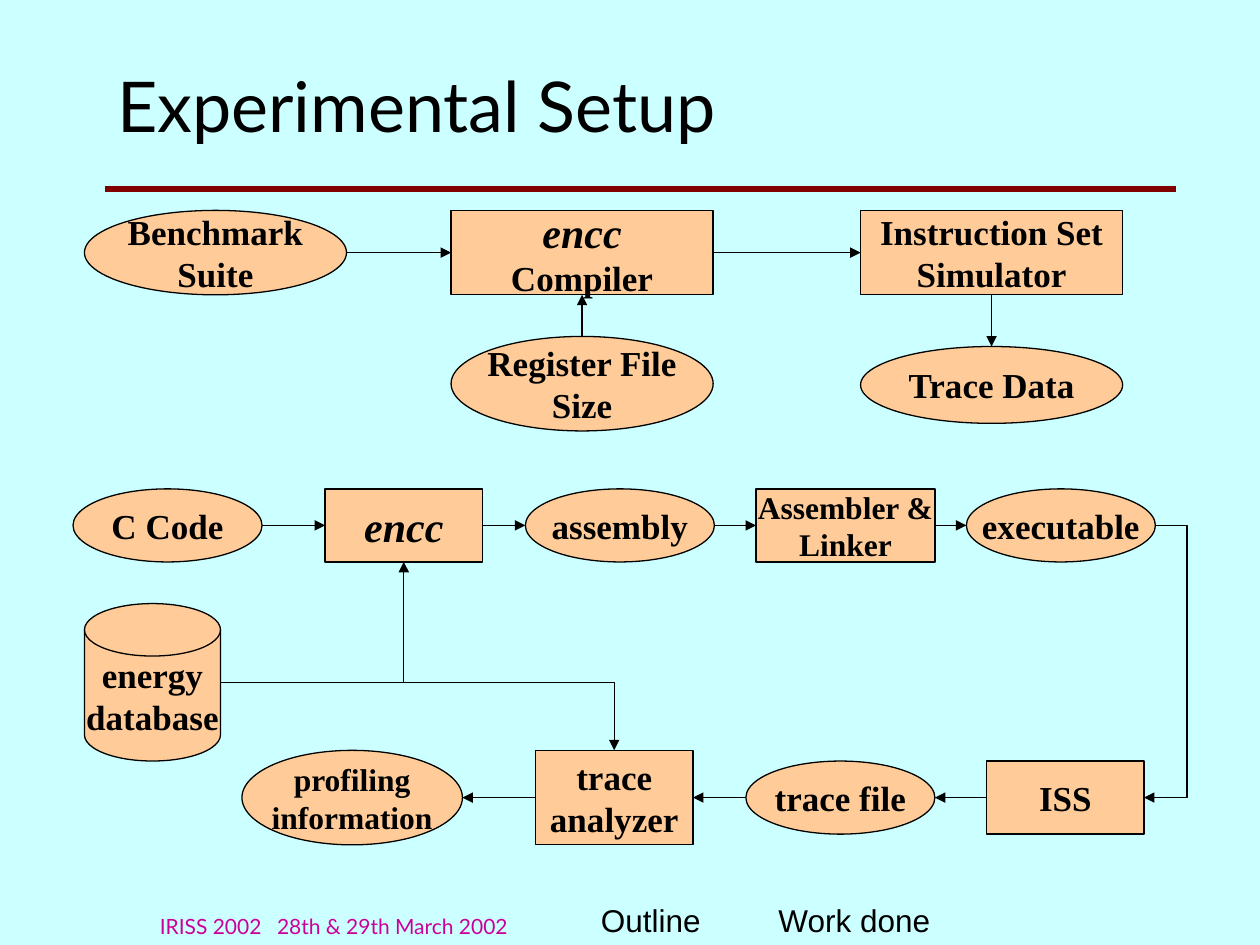
import pptx
import pptx.util
import pptx.dml.color
import pptx.enum.shapes
import pptx.enum.text
import pptx.oxml.ns
import lxml.etree

Inches = pptx.util.Inches
Pt = pptx.util.Pt
RGBColor = pptx.dml.color.RGBColor
Shape = pptx.enum.shapes.MSO_SHAPE
Wire = pptx.enum.shapes.MSO_CONNECTOR
Align = pptx.enum.text.PP_ALIGN
Anchor = pptx.enum.text.MSO_ANCHOR
qn = pptx.oxml.ns.qn

SKY = RGBColor(0xCC, 0xFF, 0xFF)
PEACH = RGBColor(0xFF, 0xCC, 0x99)
MAROON = RGBColor(0x80, 0x00, 0x00)
PINK = RGBColor(0xCC, 0x00, 0x99)
BLACK = RGBColor(0x00, 0x00, 0x00)
SERIF = "Times New Roman"
OVAL, RECT, DISK = Shape.OVAL, Shape.RECTANGLE, Shape.FLOWCHART_MAGNETIC_DISK


def write(shape, text, font="Lato", size=20, color=BLACK, bold=False, slant=None,
          align=Align.LEFT, anchor=Anchor.MIDDLE, wrap=True, tab=None):
    """Write lines of text into a shape; the line equal to slant is larger and italic."""
    frame = shape.text_frame
    frame.word_wrap = wrap
    frame.auto_size = pptx.enum.text.MSO_AUTO_SIZE.NONE
    frame.vertical_anchor = anchor
    frame.text = text
    for para in frame.paragraphs:
        para.alignment = align
        if tab:
            stops = lxml.etree.SubElement(para._p.get_or_add_pPr(), qn("a:tabLst"))
            lxml.etree.SubElement(stops, qn("a:tab"), pos=str(tab), algn="l")
        for run in para.runs:
            leans = run.text == slant
            run.font.name = font
            run.font.size = Pt(24 if leans else size)
            run.font.bold = bold
            run.font.italic = leans
            run.font.color.rgb = color


def node(slide, kind, text, left, top, width, height, size=20):
    """Draw one labelled step of a flow."""
    shape = slide.shapes.add_shape(kind, left, top, width, height)
    shape.shadow.inherit = False
    shape.fill.solid()
    shape.fill.fore_color.rgb = PEACH
    shape.line.color.rgb = BLACK
    shape.line.width = Pt(0.75)
    write(shape, text, font=SERIF, size=size, bold=True, slant="encc",
          align=Align.CENTER, wrap=False)
    return shape


def port(shape, side):
    """Return the middle point of one side of a shape."""
    across, down = {"left": (0, 1), "right": (2, 1), "top": (1, 0), "base": (1, 2)}[side]
    return shape.left + shape.width * across // 2, shape.top + shape.height * down // 2


def wire(slide, start, end, kind=Wire.STRAIGHT, color=BLACK, width=0.75, head=True):
    """Draw a line between two points, with an arrowhead if wanted."""
    line = slide.shapes.add_connector(kind, *start, *end)
    line.line.color.rgb = color
    line.line.width = Pt(width)
    if head:
        lxml.etree.SubElement(line.line._get_or_add_ln(), qn("a:tailEnd"), type="triangle")
    lxml.etree.SubElement(line._element.spPr, qn("a:effectLst"))
    return line


def chain(slide, steps):
    """Join each step to the next along a row, in either direction."""
    for one, two in zip(steps, steps[1:]):
        ahead = one.left < two.left
        wire(slide, port(one, "right" if ahead else "left"),
             port(two, "left" if ahead else "right"))


def drop(slide, one, two):
    """Join two steps in a column, from the first to the second."""
    below = one.top < two.top
    wire(slide, port(one, "base" if below else "top"), port(two, "top" if below else "base"))


def corner(slide, start, end):
    """Draw an arrow that runs across and then turns once."""
    line = wire(slide, start, end, kind=Wire.ELBOW)
    line._element.spPr.find(qn("a:prstGeom")).set("prst", "bentConnector2")


def detour(slide, start, end, reach):
    """Draw an arrow that runs out to reach and then comes back."""
    line = wire(slide, start, end, kind=Wire.ELBOW)
    geom = line._element.spPr.find(qn("a:prstGeom"))
    share = round((reach - start[0]) / (end[0] - start[0]) * 100000)
    lxml.etree.SubElement(geom.get_or_add_avLst(), qn("a:gd"), name="adj1", fmla=f"val {share}")


def head(slide, left, top, width, height):
    """Place the title and the rule under it."""
    title = slide.shapes.title
    title.left, title.top, title.width, title.height = left, top, width - Inches(0.75), Inches(1)
    write(title, "Experimental Setup", size=40)
    base = top + height
    wire(slide, (left, base), (left + width, base), color=MAROON, width=3, head=False)


def setup(slide, left, top, width, height):
    """Draw the overview of the tools and their data."""
    wide, tall = Inches(2.08), Inches(0.67)
    mid, last = left + Inches(2.91), left + width - wide
    suite = node(slide, OVAL, "Benchmark\nSuite", left, top, wide, tall)
    tool = node(slide, RECT, "encc\nCompiler", mid, top, wide, tall)
    sim = node(slide, RECT, "Instruction Set\nSimulator", last, top, wide, tall)
    size = node(slide, OVAL, "Register File\nSize", mid, top + height - Inches(0.75),
                wide, Inches(0.75))
    data = node(slide, OVAL, "Trace Data", last, top + Inches(1.08), wide, Inches(0.61))
    chain(slide, [suite, tool, sim])
    drop(slide, size, tool)
    drop(slide, sim, data)


def row(slide, left, mid, parts):
    """Draw and chain steps centred on one level; return them."""
    steps = [node(slide, kind, text, left + Inches(off), mid - Inches(tall) // 2,
                  Inches(wide), Inches(tall), size=size)
             for kind, text, off, wide, tall, size in parts]
    chain(slide, steps)
    return steps


def flow(slide, left, top, width, height):
    """Draw the path from source code to profiling information."""
    build = row(slide, left, top + Inches(0.29), [
        (OVAL, "C Code", 0, 1.5, 0.58, 20),
        (RECT, "encc", 2, 1.25, 0.58, 20),
        (OVAL, "assembly", 3.59, 1.5, 0.58, 20),
        (RECT, "Assembler &\nLinker", 5.42, 1.42, 0.58, 18),
        (OVAL, "executable", 7.09, 1.5, 0.58, 20),
    ])
    trace = row(slide, left, top + height - Inches(0.38), [
        (RECT, "ISS", 7.25, 1.25, 0.58, 20),
        (OVAL, "trace file", 5.34, 1.5, 0.58, 20),
        (RECT, "trace\nanalyzer", 3.67, 1.25, 0.75, 20),
        (OVAL, "profiling\ninformation", 1.34, 1.75, 0.75, 18),
    ])
    store = node(slide, DISK, "energy\ndatabase", left + Inches(0.09), top + Inches(0.91),
                 Inches(1.08), Inches(1.25))
    corner(slide, port(store, "right"), port(build[1], "base"))
    corner(slide, port(store, "right"), port(trace[2], "top"))
    detour(slide, port(build[-1], "right"), port(trace[0], "right"), left + width)


def foot(slide, left, top, width, height):
    """Place the event line and the two section labels."""
    base = top + height
    for text, off, wide, tall, style in [
        ("IRISS 2002\t28th & 29th March 2002", 0, 3.75, 0.33,
         dict(size=12, color=PINK, tab=Inches(0.93))),
        ("Outline", 3.5, 1.08, 0.4, dict(font="Arial", size=18)),
        ("Work done", 4.91, 1.58, 0.4, dict(font="Arial", size=18)),
    ]:
        box = slide.shapes.add_textbox(left + Inches(off), base - Inches(tall),
                                       Inches(wide), Inches(tall))
        write(box, text, anchor=Anchor.BOTTOM, **style)


def main():
    """Build the slide and save it."""
    deck = pptx.Presentation()
    deck.slide_width, deck.slide_height = Inches(10), Inches(7.5)
    slide = deck.slides.add_slide(deck.slide_layouts[5])
    slide.background.fill.solid()
    slide.background.fill.fore_color.rgb = SKY
    head(slide, Inches(0.83), Inches(0.33), Inches(8.5), Inches(1.17))
    setup(slide, Inches(0.67), Inches(1.67), Inches(8.24), Inches(1.75))
    flow(slide, Inches(0.58), Inches(3.88), Inches(8.84), Inches(2.83))
    foot(slide, Inches(1.17), Inches(7.1), Inches(6.49), Inches(0.4))
    deck.save("out.pptx")


if __name__ == "__main__":
    main()
